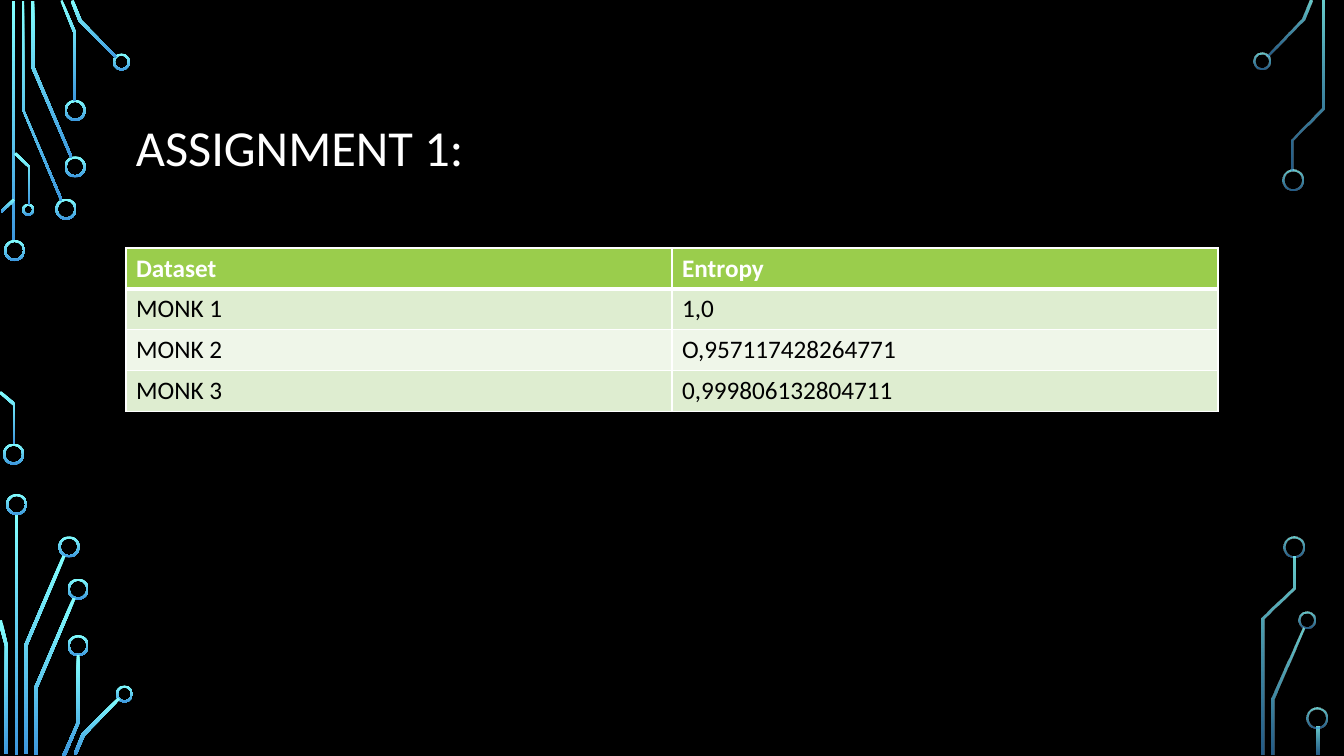
import pptx
import pptx.dml.color
import pptx.enum.shapes
import pptx.enum.text
import pptx.oxml.ns
import pptx.util
from lxml import etree

Inches = pptx.util.Inches
RGBColor = pptx.dml.color.RGBColor
SHAPES = pptx.enum.shapes.MSO_SHAPE
qn = pptx.oxml.ns.qn

BLACK = RGBColor(0x00, 0x00, 0x00)
WHITE = RGBColor(0xFF, 0xFF, 0xFF)
CYAN = RGBColor(0x82, 0xFF, 0xFF)
BLUE = RGBColor(0x3D, 0x97, 0xDE)
GREEN = RGBColor(0x9A, 0xCD, 0x4C)
LIGHT_GREEN = RGBColor(0xDE, 0xED, 0xD0)
PALE_GREEN = RGBColor(0xEF, 0xF6, 0xE9)

RIM = 0.02
FADED_SIDE = 12  # circuit parts right of this are partly transparent

# Circuit bars: left, top, width, height
BARS = [
    (0.12, 0.01, 0.03, 2.39),
    (0.15, 5.1, 0.03, 2.39),
    (13.06, 7.21, 0.03, 0.28),
]

# Circuit rings: left, top, diameter
RINGS = [
    (0.04, 2.38, 0.21), (0.03, 4.4, 0.21), (0.55, 1.97, 0.21),
    (0.64, 1.55, 0.21), (0.64, 0.99, 0.21), (1.12, 0.53, 0.17),
    (0.22, 2.02, 0.12), (0.06, 4.9, 0.21), (0.58, 5.32, 0.21),
    (0.67, 5.74, 0.21), (0.67, 6.3, 0.21), (1.15, 6.8, 0.17),
    (12.43, 0.52, 0.17), (12.72, 1.68, 0.21), (12.88, 6.07, 0.17),
    (12.73, 5.32, 0.21), (12.96, 7.02, 0.21),
]

# Circuit traces: corner points of each bent strip
TRACES = [
    [(0.6, 1.99), (0.22, 1.09), (0.22, 0.01), (0.24, 0.01), (0.24, 1.09), (0.62, 1.98)],
    [(0.7, 1.57), (0.31, 0.67), (0.31, 0.01), (0.34, 0.01), (0.34, 0.66), (0.72, 1.56)],
    [(0.76, 1), (0.73, 1), (0.73, 0.33), (0.6, 0.01), (0.62, 0), (0.76, 0.33)],
    [(1.15, 0.58), (0.78, 0.21), (0.7, 0.01), (0.73, 0), (0.81, 0.2), (1.16, 0.56)],
    [(0.02, 2.11), (0.01, 2.09), (0.13, 1.97), (0.15, 1.99)],
    [(0.15, 4.41), (0.13, 4.41), (0.13, 4.02), (-0.01, 3.9), (0.01, 3.88), (0.15, 4)],
    [(0.3, 2.03), (0.28, 2.03), (0.28, 1.66), (0.14, 1.53), (0.16, 1.51), (0.3, 1.65)],
    [(0.27, 7.48), (0.24, 7.48), (0.24, 6.4), (0.62, 5.51), (0.65, 5.52), (0.27, 6.41)],
    [(0.08, 7.48), (0.05, 7.48), (0.05, 6.41), (-0.02, 6.16), (0.02, 6.15), (0.08, 6.41)],
    [(0.37, 7.49), (0.34, 7.49), (0.34, 6.82), (0.72, 5.93), (0.75, 5.94), (0.37, 6.83)],
    [(0.65, 7.5), (0.62, 7.49), (0.76, 7.17), (0.76, 6.5), (0.79, 6.5), (0.79, 7.17)],
    [(0.76, 7.49), (0.73, 7.48), (0.81, 7.28), (1.17, 6.92), (1.19, 6.94), (0.84, 7.3)],
    [(12.58, 0.56), (12.56, 0.55), (12.91, 0.19), (12.99, 0), (13.02, 0.01), (12.94, 0.2)],
    [(12.64, 7.49), (12.61, 7.49), (12.61, 6.93), (12.92, 6.23), (12.94, 6.24), (12.64, 6.94)],
    [(12.83, 1.69), (12.81, 1.69), (12.81, 1.38), (13.11, 1.07), (13.11, 0.01),
     (13.14, 0.01), (13.14, 1.08), (12.83, 1.39)],
    [(12.54, 7.49), (12.51, 7.49), (12.51, 6.13), (12.82, 5.83), (12.82, 5.52),
     (12.85, 5.52), (12.85, 5.84), (12.54, 6.14)],
]

ROWS = [
    ("Dataset", "Entropy"),
    ("MONK 1", "1,0"),
    ("MONK 2", "O,957117428264771"),
    ("MONK 3", "0,999806132804711"),
]
ROW_FILLS = [GREEN, LIGHT_GREEN, PALE_GREEN, LIGHT_GREEN]


def write(para, text, color, size, bold=False):
    span = para.add_run()
    span.text = text
    formats = {"name": "Calibri", "size": pptx.util.Pt(size), "bold": bold}
    for name, value in formats.items():
        setattr(span.font, name, value)
    span.font.color.rgb = color


def add_border(cell, side, points):
    line = etree.SubElement(cell._tc.get_or_add_tcPr(), qn("a:" + side),
                            w=str(pptx.util.Pt(points)))
    fill = etree.SubElement(line, qn("a:solidFill"))
    etree.SubElement(fill, qn("a:srgbClr"), val=str(WHITE))


# Page
deck = pptx.Presentation()
deck.slide_width = Inches(13.33)
deck.slide_height = Inches(7.5)
page = deck.slides.add_slide(deck.slide_layouts[6])
page.background.fill.solid()
page.background.fill.fore_color.rgb = BLACK

# Circuit decoration
circuit = []
for bar in BARS:
    circuit.append(page.shapes.add_shape(SHAPES.RECTANGLE, *map(Inches, bar)))
for left, top, size in RINGS:
    ring = page.shapes.add_shape(SHAPES.DONUT, *map(Inches, (left, top, size, size)))
    ring.adjustments[0] = RIM / size
    circuit.append(ring)
for corners in TRACES:
    points = [(Inches(x), Inches(y)) for x, y in corners]
    outline = page.shapes.build_freeform(*points[0])
    outline.add_line_segments(points[1:], close=True)
    circuit.append(outline.convert_to_shape())

for part in circuit:
    part.shadow.inherit = False
    part.line.fill.background()
    part.fill.gradient()
    part.fill.gradient_angle = 270
    for stop, color in zip(part.fill.gradient_stops, (CYAN, BLUE)):
        stop.color.rgb = color
    if part.left > Inches(FADED_SIDE):
        stop_colors = part._element.spPr.iter(qn("a:srgbClr"))
        for stop_color, opacity in zip(list(stop_colors), (80, 60)):
            etree.SubElement(stop_color, qn("a:alpha"), val=str(opacity * 1000))

# Title
box = page.shapes.add_textbox(Inches(1.25), Inches(0.68), Inches(10.83), Inches(1.62))
box.text_frame.word_wrap = True
box.text_frame.vertical_anchor = pptx.enum.text.MSO_ANCHOR.MIDDLE
title = box.text_frame.paragraphs[0]
title.line_spacing = 0.9
write(title, "ASSIGNMENT 1:", WHITE, 36)

# Entropy table
table = page.shapes.add_table(len(ROWS), 2, Inches(1.25), Inches(2.46),
                              Inches(10.83), Inches(1.62)).table
for i, (texts, row_fill) in enumerate(zip(ROWS, ROW_FILLS)):
    header = i == 0
    for j, text in enumerate(texts):
        cell = table.cell(i, j)
        widths = {"lnL": 1, "lnR": 1, "lnT": 3 if i == 1 else 1, "lnB": 3 if header else 1}
        for side, points in widths.items():
            add_border(cell, side, points)
        cell.fill.solid()
        cell.fill.fore_color.rgb = row_fill
        write(cell.text_frame.paragraphs[0], text, WHITE if header else BLACK, 18, header)

deck.save("out.pptx")
